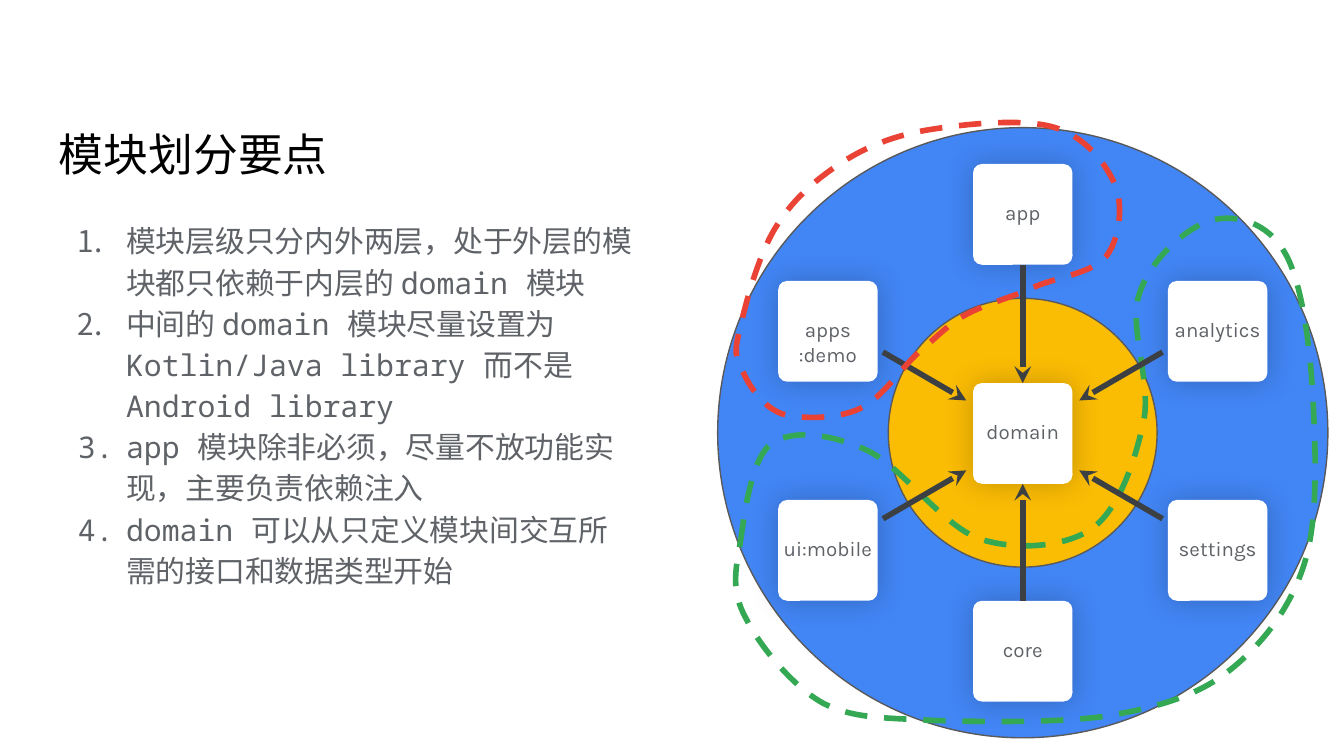
from lxml import etree
from pptx import Presentation
from pptx.dml.color import RGBColor
from pptx.enum.dml import MSO_LINE
from pptx.enum.shapes import MSO_CONNECTOR as CONNECTOR, MSO_SHAPE as SHAPE
from pptx.enum.text import MSO_ANCHOR as ANCHOR, PP_ALIGN as ALIGN
from pptx.oxml import parse_xml
from pptx.oxml.ns import nsdecls, qn
from pptx.util import Inches, Pt

GRAY = "5F6368"
CENTER_X, CENTER_Y = 7.61, 3.24
CARD_W, CARD_H = 0.74, 0.75
LEFT, MIDDLE, RIGHT = (7.24 + step * 1.45 for step in (-1, 0, 1))

MODULES = [
    ("domain", MIDDLE, 2.85),
    ("app", MIDDLE, 1.22),
    ("core", MIDDLE, 4.47),
    ("ui:mobile", LEFT, 3.72),
    ("apps\n:demo", LEFT, 2.09),
    ("settings", RIGHT, 3.72),
    ("analytics", RIGHT, 2.09),
]

POINTS = [
    "模块层级只分内外两层，处于外层的模块都只依赖于内层的 domain 模块",
    "中间的 domain 模块尽量设置为 Kotlin/Java library 而不是 Android library",
    "app 模块除非必须，尽量不放功能实现，主要负责依赖注入",
    "domain 可以从只定义模块间交互所需的接口和数据类型开始",
]

GREEN_LOOP = [
    (5.51, 4.03), (5.54, 3.82), (5.59, 3.41), (5.74, 3.3),
    (5.9, 3.19), (6.19, 3.23), (6.45, 3.35),
    (6.71, 3.47), (7.01, 3.91), (7.29, 4.01),
    (7.57, 4.1), (7.93, 4.07), (8.13, 3.93),
    (8.33, 3.78), (8.45, 3.42), (8.51, 3.13),
    (8.57, 2.84), (8.39, 2.42), (8.48, 2.18),
    (8.56, 1.93), (8.83, 1.69), (9.01, 1.64),
    (9.19, 1.59), (9.43, 1.65), (9.56, 1.88),
    (9.69, 2.1), (9.75, 2.59), (9.77, 2.98),
    (9.79, 3.37), (9.81, 3.88), (9.7, 4.21),
    (9.59, 4.55), (9.37, 4.82), (9.12, 5.01),
    (8.88, 5.19), (8.58, 5.27), (8.22, 5.33),
    (7.85, 5.38), (7.29, 5.37), (6.94, 5.36),
    (6.59, 5.34), (6.35, 5.35), (6.12, 5.23),
    (5.89, 5.1), (5.65, 4.8), (5.55, 4.6),
    (5.44, 4.4), (5.47, 4.25), (5.51, 4.03),
]

RED_LOOP = [
    (5.53, 2.77), (5.58, 2.88), (5.68, 3.03), (5.82, 3.08),
    (5.97, 3.12), (6.23, 3.12), (6.4, 3.04),
    (6.57, 2.96), (6.71, 2.73), (6.85, 2.61),
    (6.98, 2.5), (7.05, 2.42), (7.19, 2.34),
    (7.34, 2.26), (7.54, 2.21), (7.71, 2.13),
    (7.88, 2.06), (8.13, 2.03), (8.23, 1.91),
    (8.33, 1.78), (8.36, 1.54), (8.3, 1.38),
    (8.23, 1.22), (8.08, 1.02), (7.85, 0.95),
    (7.63, 0.88), (7.21, 0.92), (6.95, 0.96),
    (6.68, 1), (6.47, 1.08), (6.28, 1.2),
    (6.09, 1.32), (5.91, 1.47), (5.78, 1.68),
    (5.65, 1.88), (5.55, 2.25), (5.51, 2.43),
    (5.46, 2.62), (5.47, 2.66), (5.53, 2.77),
]


def color(hex_code):
    return RGBColor.from_string(hex_code)


def add_circle(slide, left, top, size, fill):
    circle = slide.shapes.add_shape(
        SHAPE.OVAL, Inches(left), Inches(top), Inches(size), Inches(size))
    circle.shadow.inherit = False
    circle.fill.solid()
    circle.fill.fore_color.rgb = color(fill)
    circle.line.color.rgb = color("595959")
    circle.line.width = Pt(0.75)


def style_runs(paragraph, size, font, hex_code):
    for run in paragraph.runs:
        run.font.size = Pt(size)
        run.font.name = font
        run.font.color.rgb = color(hex_code)


def add_text(slide, left, top, width, height, text, size, font, hex_code,
             inset=0.1, anchor=ANCHOR.TOP, align=ALIGN.LEFT, numbered=False):
    box = slide.shapes.add_textbox(
        Inches(left), Inches(top), Inches(width), Inches(height))
    frame = box.text_frame
    frame.word_wrap = True
    frame.vertical_anchor = anchor
    frame.margin_left = frame.margin_right = Inches(inset)
    frame.margin_top = frame.margin_bottom = Inches(inset)
    frame.text = text
    for paragraph in frame.paragraphs:
        paragraph.alignment = align
        if numbered:
            number(paragraph, font, hex_code)
        style_runs(paragraph, size, font, hex_code)


def number(paragraph, font, hex_code):
    paragraph.line_spacing = 1.15
    properties = paragraph._p.get_or_add_pPr()
    properties.set("marL", str(Inches(0.5)))
    properties.set("indent", str(Inches(-0.36)))
    tint = etree.SubElement(properties, qn("a:buClr"))
    etree.SubElement(tint, qn("a:srgbClr")).set("val", hex_code)
    etree.SubElement(properties, qn("a:buFont")).set("typeface", font)
    etree.SubElement(properties, qn("a:buAutoNum")).set("type", "arabicPeriod")


def add_card(slide, label, left, top):
    card = slide.shapes.add_shape(
        SHAPE.ROUNDED_RECTANGLE, Inches(left), Inches(top), Inches(CARD_W), Inches(CARD_H))
    card.adjustments[0] = 0.09
    card.fill.solid()
    card.fill.fore_color.rgb = color("FFFFFF")
    card.line.fill.background()
    card._element.spPr.append(parse_xml(
        f'<a:effectLst {nsdecls("a")}><a:outerShdw blurRad="{Pt(16)}" dist="0" dir="0" '
        'algn="ctr" rotWithShape="0"><a:srgbClr val="000000"><a:alpha val="22000"/>'
        '</a:srgbClr></a:outerShdw></a:effectLst>'))
    add_text(slide, left, top + 0.27, CARD_W, 0.2, label, 11, "Karla", GRAY,
             inset=0, align=ALIGN.CENTER)
    return card


def add_arrow(slide, start=(0, 0), end=(0, 0)):
    arrow = slide.shapes.add_connector(
        CONNECTOR.STRAIGHT, *(Inches(value) for value in (*start, *end)))
    arrow.line.color.rgb = color("3C4043")
    arrow.line.width = Pt(3)
    etree.SubElement(arrow.line._get_or_add_ln(), qn("a:tailEnd")).set("type", "stealth")
    etree.SubElement(arrow._element.spPr, qn("a:effectLst"))
    return arrow


def join_cards(slide, outer, outer_side, inner, inner_side):
    arrow = add_arrow(slide)
    arrow.begin_connect(outer, outer_side)
    arrow.end_connect(inner, inner_side)


def add_loop(slide, knots, hex_code):
    start, *rest = [(Inches(x), Inches(y)) for x, y in knots]
    builder = slide.shapes.build_freeform(*start)
    builder.add_line_segments(rest, close=True)
    loop = builder.convert_to_shape()
    segments = list(loop._element.iter(qn("a:lnTo")))
    for first, second, third in zip(segments[::3], segments[1::3], segments[2::3]):
        first.tag = qn("a:cubicBezTo")
        for segment in (second, third):
            first.append(segment[0])
            segment.getparent().remove(segment)
    loop.shadow.inherit = False
    loop.fill.background()
    loop.line.color.rgb = color(hex_code)
    loop.line.width = Pt(3)
    loop.line.dash_style = MSO_LINE.DASH


def main():
    deck = Presentation()
    deck.slide_width = Inches(10)
    deck.slide_height = Inches(10) * 9 // 16
    slide = deck.slides.add_slide(deck.slide_layouts[6])

    add_circle(slide, 5.34, 0.95, 4.54, "4285F4")
    add_text(slide, 0.34, 0.61, 4.37, 0.83, "模块划分要点", 24, "Karla", "000000",
             anchor=ANCHOR.BOTTOM)
    add_text(slide, 0.34, 1.52, 4.49, 3.48, "\n".join(POINTS), 16, "Noto Sans Mono", GRAY,
             numbered=True)
    add_circle(slide, 6.61, 2.22, 2, "FBBC04")
    cards = {label: add_card(slide, label, left, top) for label, left, top in MODULES}

    add_loop(slide, GREEN_LOOP, "34A853")
    join_cards(slide, cards["app"], 2, cards["domain"], 0)
    join_cards(slide, cards["core"], 0, cards["domain"], 2)
    for across in (-1, 1):
        for down in (-1, 1):
            add_arrow(slide,
                      (CENTER_X + across * 1.04, CENTER_Y + down * 0.62),
                      (CENTER_X + across * 0.42, CENTER_Y + down * 0.26))
    add_loop(slide, RED_LOOP, "EA4335")

    deck.save("out.pptx")


if __name__ == "__main__":
    main()
